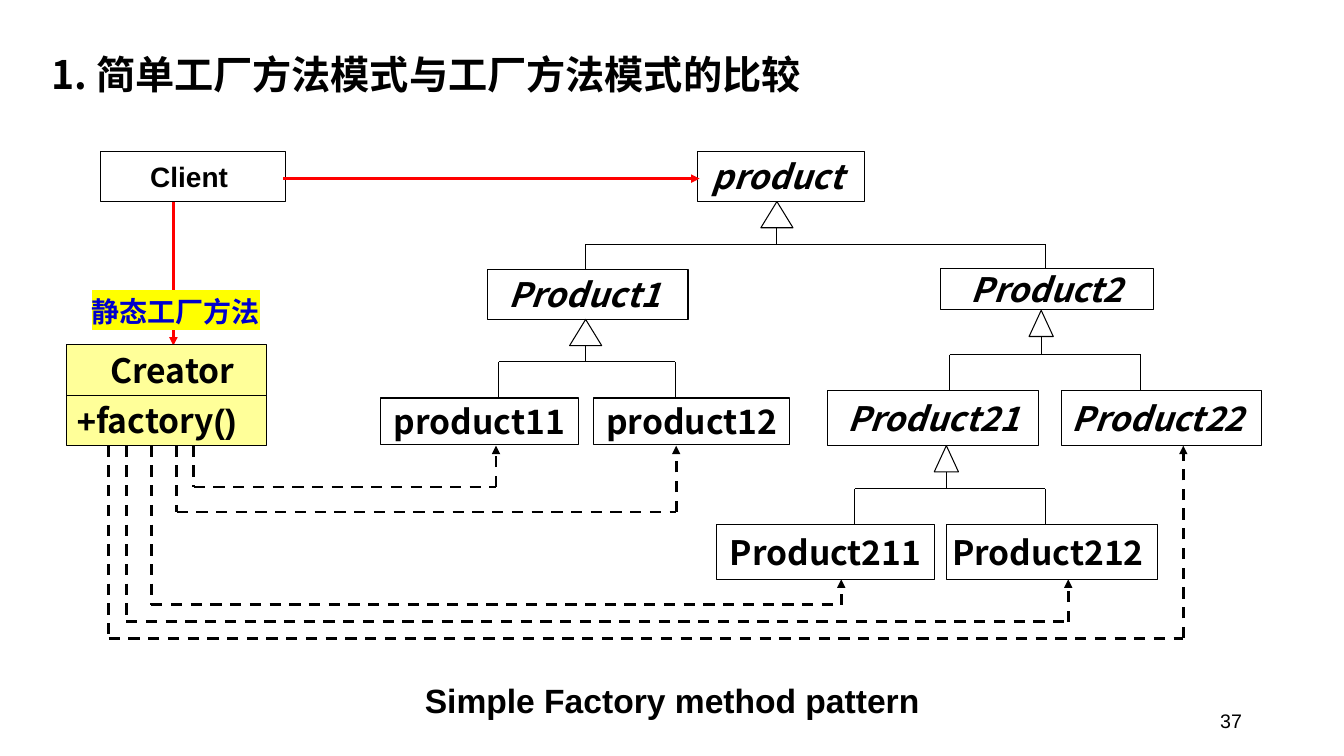
from dataclasses import dataclass

from pptx import Presentation
from pptx.dml.color import RGBColor
from pptx.enum.dml import MSO_LINE
from pptx.enum.shapes import MSO_CONNECTOR, MSO_SHAPE
from pptx.enum.text import MSO_ANCHOR, MSO_AUTO_SIZE, PP_ALIGN
from pptx.oxml.ns import qn
from pptx.util import Cm, Pt
from lxml.etree import SubElement

BLACK = RGBColor(0x00, 0x00, 0x00)
WHITE = RGBColor(0xFF, 0xFF, 0xFF)
CREAM = RGBColor(0xFF, 0xFF, 0x99)
RED = RGBColor(0xFF, 0x00, 0x00)
BLUE = RGBColor(0x00, 0x00, 0xCC)
YELLOW = RGBColor(0xFF, 0xFF, 0x00)
ARIAL = "Arial"
NOTO = "Noto Sans CJK SC"
THIN, THICK = 0.75, 2
PEAK = 0.66  # height of an inheritance triangle
BASE = 11.23  # bottom edge of the creator class


@dataclass
class Box:
    """A class box; each run is a pair of text and font name."""
    left: float
    top: float
    width: float
    height: float
    runs: list[tuple[str, str]]
    slant: bool = False
    fill: RGBColor = WHITE
    size: float = 24
    align: PP_ALIGN = PP_ALIGN.CENTER
    inset: float = 0


@dataclass
class Tree:
    """A triangle under a parent, and a bar with drops to two children."""
    tip: float
    top: float
    width: float
    bar: float
    left: float
    right: float
    foot: float


@dataclass
class Route:
    """A dashed path from the creator to a product."""
    start: float
    level: float
    end: float
    top: float


BOXES = [
    Box(17.58, 3.81, 4.22, 1.27, [("product ", NOTO)], True),
    Box(12.29, 6.78, 5.05, 1.27, [("Product1 ", NOTO)], True),
    Box(23.7, 6.76, 5.36, 1.04, [("Product2", NOTO)], True),
    Box(9.58, 10.03, 5, 1.17, [("product11", NOTO)]),
    Box(14.96, 10.03, 4.95, 1.17, [("product12", NOTO)]),
    Box(20.85, 9.83, 5.33, 1.4, [("Product21", NOTO)], True),
    Box(26.75, 9.83, 5.05, 1.4, [("Product22 ", NOTO)], True),
    Box(18.06, 13.21, 5.49, 1.4, [("Product211", NOTO)]),
    Box(23.85, 13.21, 5.31, 1.4, [("Product212 ", NOTO)]),
    Box(1.68, 9.96, 5.05, 1.27,
        [("+", ARIAL), ("factory", NOTO), ("()", ARIAL)],
        fill=CREAM, align=PP_ALIGN.LEFT, inset=0.25),
    Box(2.54, 3.81, 4.65, 1.27, [("Client ", ARIAL)], size=20),
]
MAKER = Box(1.68, 8.69, 5.05, 1.27, [("Creator ", NOTO)],
            fill=CREAM, inset=0.47)

TREES = [
    Tree(19.58, 5.08, 0.81, 6.15, 14.76, 26.34, 6.78),
    Tree(14.76, 8.05, 0.81, 9.12, 12.57, 17.02, 10.03),
    Tree(26.24, 7.82, 0.61, 8.94, 23.93, 28.75, 9.83),
    Tree(23.85, 11.23, 0.61, 12.32, 21.54, 26.34, 13.21),
]

ROUTES = [
    Route(4.88, 12.27, 12.5, 11.23),
    Route(4.45, 12.9, 17.04, 11.23),
    Route(3.81, 15.24, 21.2, 14.6),
    Route(3.18, 15.67, 26.92, 14.6),
    Route(2.74, 16.08, 29.82, 11.23),
]


def write(para, text: str, face: str, size: float, bold: bool = True,
          slant: bool = False, color: RGBColor = BLACK, mark=None) -> None:
    """Add one run, with the face set for Latin and Chinese text."""
    run = para.add_run()
    run.text = text
    font = run.font
    font.name, font.size = face, Pt(size)
    font.bold, font.italic = bold, slant
    font.color.rgb = color
    props = font._element
    SubElement(props, qn("a:ea")).set("typeface", face)
    if mark is not None:
        light = SubElement(props, qn("a:highlight"))
        SubElement(light, qn("a:srgbClr")).set("val", str(mark))
        props.find(qn("a:latin")).addprevious(light)


def line(slide, x1: float, y1: float, x2: float, y2: float,
         width: float = THIN, color: RGBColor = BLACK,
         dash: bool = False, head: bool = False) -> None:
    link = slide.shapes.add_connector(
        MSO_CONNECTOR.STRAIGHT, Cm(x1), Cm(y1), Cm(x2), Cm(y2))
    link.line.width = Pt(width)
    link.line.color.rgb = color
    if dash:
        link.line.dash_style = MSO_LINE.DASH
    props = link._element.spPr
    if head:
        SubElement(props.find(qn("a:ln")), qn("a:tailEnd")).set(
            "type", "triangle")
    SubElement(props, qn("a:effectLst"))


def shape(slide, kind: MSO_SHAPE, left: float, top: float,
          width: float, height: float, fill: RGBColor = WHITE):
    item = slide.shapes.add_shape(
        kind, Cm(left), Cm(top), Cm(width), Cm(height))
    item.shadow.inherit = False
    item.fill.solid()
    item.fill.fore_color.rgb = fill
    item.line.color.rgb = BLACK
    item.line.width = Pt(THIN)
    return item


def draw_box(slide, box: Box) -> None:
    item = shape(slide, MSO_SHAPE.RECTANGLE, box.left, box.top,
                 box.width, box.height, box.fill)
    frame = item.text_frame
    frame.margin_left = Cm(box.inset)
    frame.margin_right = frame.margin_top = frame.margin_bottom = 0
    frame.word_wrap = False
    frame.vertical_anchor = MSO_ANCHOR.MIDDLE
    para = frame.paragraphs[0]
    para.alignment = box.align
    for text, face in box.runs:
        write(para, text, face, box.size, slant=box.slant)


def draw_tree(slide, tree: Tree) -> None:
    shape(slide, MSO_SHAPE.ISOSCELES_TRIANGLE, tree.tip - tree.width / 2,
          tree.top, tree.width, PEAK)
    line(slide, tree.tip, tree.top + PEAK, tree.tip, tree.bar)
    line(slide, tree.left, tree.bar, tree.right, tree.bar)
    for x in (tree.left, tree.right):
        line(slide, x, tree.bar, x, tree.foot)


def draw_route(slide, way: Route) -> None:
    line(slide, way.start, BASE, way.start, way.level, THICK, dash=True)
    line(slide, way.start, way.level, way.end, way.level, THICK, dash=True)
    line(slide, way.end, way.level, way.end, way.top, THICK,
         dash=True, head=True)


def add_text(slide, left: float, top: float, width: float, height: float):
    """Add an empty wrapping text box and return its frame."""
    frame = slide.shapes.add_textbox(
        Cm(left), Cm(top), Cm(width), Cm(height)).text_frame
    frame.word_wrap = True
    return frame


def add_title(slide) -> None:
    title = slide.shapes.title
    title.left, title.top = Cm(1.04), Cm(0.86)
    title.width, title.height = Cm(20.96), Cm(2.16)
    frame = title.text_frame
    frame.auto_size = MSO_AUTO_SIZE.NONE
    frame.vertical_anchor = MSO_ANCHOR.MIDDLE
    para = frame.paragraphs[0]
    para.alignment = PP_ALIGN.LEFT
    para.line_spacing = 0.9
    write(para, "1. 简单工厂方法模式与工厂方法模式的比较", NOTO, 28)


def main() -> None:
    deck = Presentation()
    deck.slide_width, deck.slide_height = Cm(33.87), Cm(19.05)
    slide = deck.slides.add_slide(deck.slide_layouts[5])
    add_title(slide)
    for box in BOXES:
        draw_box(slide, box)
    for tree in TREES:
        draw_tree(slide, tree)
    for way in ROUTES:
        draw_route(slide, way)
    line(slide, 4.37, 5.08, 4.37, 8.71, THICK, RED, head=True)
    line(slide, 7.14, 4.5, 17.63, 4.5, THICK, RED, head=True)

    label = add_text(slide, 2.06, 7.41, 5.08, 1.09)
    label.margin_top = label.margin_bottom = 0
    write(label.paragraphs[0], "静态工厂方法", NOTO, 20,
          color=BLUE, mark=YELLOW)
    draw_box(slide, MAKER)

    para = add_text(slide, 5.51, 17.2, 22.86, 1.07).paragraphs[0]
    para.alignment = PP_ALIGN.CENTER
    para.line_spacing = 0.8
    write(para, "Simple Factory method pattern", ARIAL, 24)

    page = add_text(slide, 23.93, 17.65, 7.62, 1.02)
    page.vertical_anchor = MSO_ANCHOR.MIDDLE
    page.paragraphs[0].alignment = PP_ALIGN.RIGHT
    write(page.paragraphs[0], "37", ARIAL, 14, bold=False)
    deck.save("out.pptx")


if __name__ == "__main__":
    main()
